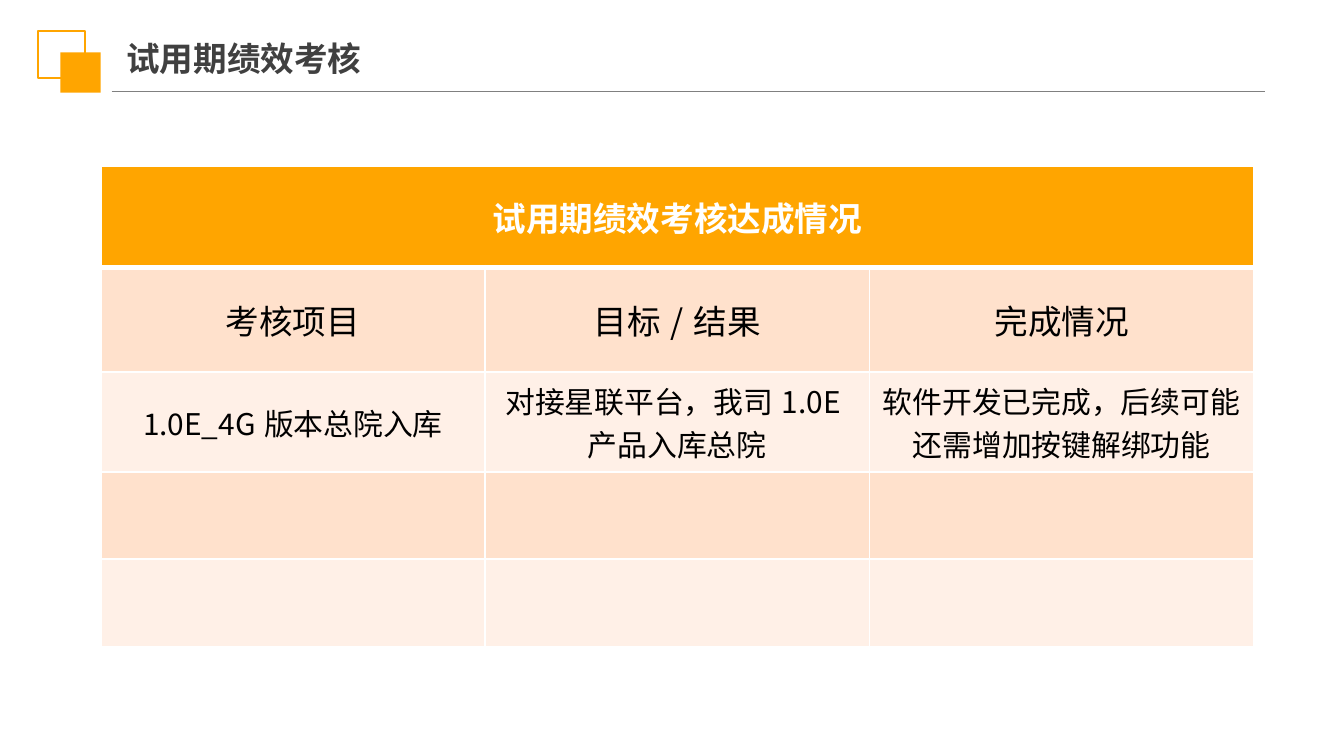
from lxml import etree
from pptx import Presentation
from pptx.dml.color import RGBColor
from pptx.enum.shapes import MSO_CONNECTOR, MSO_SHAPE
from pptx.enum.text import MSO_ANCHOR, MSO_AUTO_SIZE, PP_ALIGN
from pptx.oxml.ns import qn
from pptx.util import Inches, Pt

STRAIGHT = MSO_CONNECTOR.STRAIGHT
RECT = MSO_SHAPE.RECTANGLE
MIDDLE = MSO_ANCHOR.MIDDLE
NO_FIT = MSO_AUTO_SIZE.NONE
LEFT, CENTER = PP_ALIGN.LEFT, PP_ALIGN.CENTER

ORANGE = RGBColor(0xFF, 0xA5, 0x00)
PEACH = RGBColor(0xFF, 0xE1, 0xCC)
CREAM = RGBColor(0xFF, 0xF0, 0xE7)
WHITE = RGBColor(0xFF, 0xFF, 0xFF)
BLACK = RGBColor(0, 0, 0)
DARK = RGBColor(0x40, 0x40, 0x40)
GRAY = RGBColor(0x80, 0x80, 0x80)
FONT = "Noto Sans CJK SC"

ROW_HEIGHTS = [0.75, 0.78, 0.65, 0.65, 0.65]
ROW_FILLS = [ORANGE, PEACH, CREAM, PEACH, CREAM]
ROW_FONTS = [
    {"size": Pt(18), "bold": True, "color": WHITE},
    {"size": Pt(18), "bold": False, "color": BLACK},
    {"size": Pt(16), "bold": False, "color": BLACK},
]
ROWS = [
    ["试用期绩效考核达成情况"],
    ["考核项目", "目标/结果", "完成情况"],
    ["1.0E_4G版本总院入库", "对接星联平台，我司1.0E产品入库总院",
     "软件开发已完成，后续可能还需增加按键解绑功能"],
]


def write(tf, text, align, style):
    p = tf.paragraphs[0]
    p.alignment = align
    r = p.add_run()
    r.text = text
    r.font.name = FONT
    for name, value in style.items():
        if name == "color":
            r.font.color.rgb = value
        else:
            setattr(r.font, name, value)
    etree.SubElement(r.font._element, qn("a:ea"), typeface=FONT)


def add_square(s, x, y, size, fill=None, line=None):
    sp = s.shapes.add_shape(RECT, Inches(x), Inches(y), Inches(size), Inches(size))
    sp.shadow.inherit = False
    if fill is None:
        sp.fill.background()
    else:
        sp.fill.solid()
        sp.fill.fore_color.rgb = fill
    if line is None:
        sp.line.fill.background()
    else:
        sp.line.color.rgb = line
        sp.line.width = Pt(1)


def add_header(s, x, y, w, text):
    rule_y = Inches(y + 0.45)
    rule = s.shapes.add_connector(STRAIGHT, Inches(x + 0.55), rule_y, Inches(x + w), rule_y)
    rule.line.color.rgb = GRAY
    rule.line.width = Pt(0.75)
    etree.SubElement(rule._element.spPr, qn("a:effectLst"))
    add_square(s, x, y, 0.35, line=ORANGE)
    add_square(s, x + 0.17, y + 0.16, 0.3, fill=ORANGE)

    title = s.shapes.title
    title.left, title.top = Inches(x + 0.66), Inches(y - 0.01)
    title.width, title.height = Inches(4.21), Inches(0.42)
    tf = title.text_frame
    frame = {"auto_size": NO_FIT, "word_wrap": True, "vertical_anchor": MIDDLE,
             "margin_left": 0, "margin_right": 0,
             "margin_top": Inches(0.05), "margin_bottom": Inches(0.05)}
    for name, value in frame.items():
        setattr(tf, name, value)
    write(tf, text, LEFT, {"size": Pt(18), "bold": True, "color": DARK})


def set_borders(cell, widths):
    tcPr = cell._tc.get_or_add_tcPr()
    for side, width in widths.items():
        ln = etree.SubElement(tcPr, qn(f"a:ln{side}"), w=str(Pt(width)))
        fill = etree.SubElement(ln, qn("a:solidFill"))
        etree.SubElement(fill, qn("a:srgbClr"), val=str(WHITE))


def add_review_table(s, x, y, w):
    n_rows, n_cols = len(ROW_HEIGHTS), 3
    table = s.shapes.add_table(n_rows, n_cols, Inches(x), Inches(y),
                               Inches(w), Inches(sum(ROW_HEIGHTS))).table
    for col in table.columns:
        col.width = Inches(w / n_cols)
    for i, (height, fill) in enumerate(zip(ROW_HEIGHTS, ROW_FILLS)):
        table.rows[i].height = Inches(height)
        for j in range(n_cols):
            cell = table.cell(i, j)
            set_borders(cell, {"L": 1, "R": 1, "T": 1, "B": 3 if i == 0 else 1})
            cell.fill.solid()
            cell.fill.fore_color.rgb = fill
            cell.vertical_anchor = MIDDLE
    table.cell(0, 0).merge(table.cell(0, n_cols - 1))
    for i, (texts, style) in enumerate(zip(ROWS, ROW_FONTS)):
        for j, text in enumerate(texts):
            write(table.cell(i, j).text_frame, text, CENTER, style)


def main():
    prs = Presentation()
    prs.slide_width = Inches(10)
    prs.slide_height = prs.slide_width * 9 // 16
    s = prs.slides.add_slide(prs.slide_layouts[5])
    add_header(s, 0.28, 0.23, 9.13, "试用期绩效考核")
    add_review_table(s, 0.75, 1.24, 8.58)
    prs.save("out.pptx")


if __name__ == "__main__":
    main()
